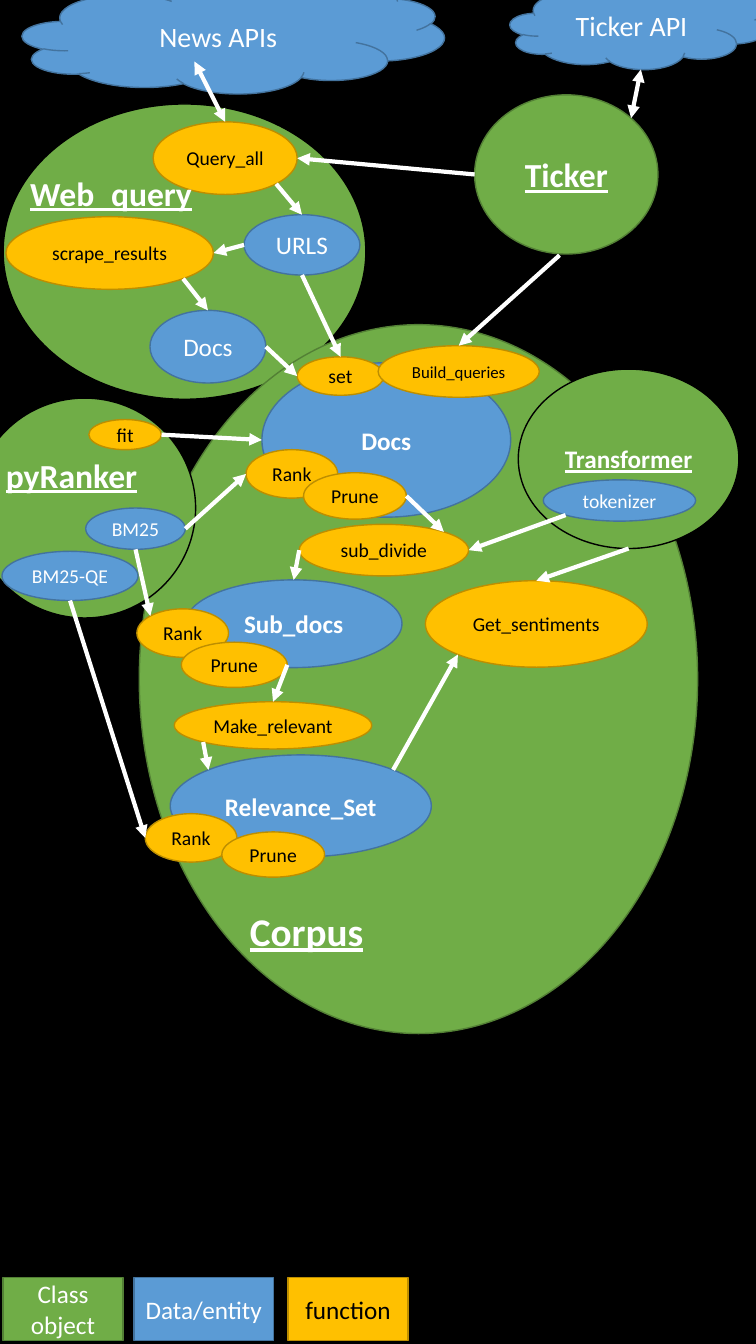
from math import sqrt

from lxml.etree import SubElement
from pptx import Presentation
from pptx.dml.color import RGBColor
from pptx.enum.shapes import MSO_CONNECTOR as CONN, MSO_SHAPE as SHAPE
from pptx.enum.text import PP_ALIGN as ALIGN
from pptx.oxml.ns import qn
from pptx.util import Cm, Pt

BLACK = RGBColor(0x00, 0x00, 0x00)
WHITE = RGBColor(0xFF, 0xFF, 0xFF)
GREEN = RGBColor(0x70, 0xAD, 0x47)
DARK_GREEN = RGBColor(0x53, 0x80, 0x35)
BLUE = RGBColor(0x5B, 0x9B, 0xD5)
DARK_BLUE = RGBColor(0x43, 0x73, 0x9E)
GOLD = RGBColor(0xFF, 0xC0, 0x00)
DARK_GOLD = RGBColor(0xBD, 0x8E, 0x00)

# Roles: fill, outline, text
CLASS = (GREEN, DARK_GREEN, WHITE)
CLASS_BLACK = (GREEN, BLACK, WHITE)
DATA = (BLUE, DARK_BLUE, WHITE)
FUNC = (GOLD, DARK_GOLD, BLACK)
BACKDROP = (BLACK, BLACK, WHITE)

# Connection sites of an ellipse: index and position as a share of its box
NEAR = (1 - sqrt(0.5)) / 2
FAR = 1 - NEAR
SITES = {
    "top": (0, 0.5, 0), "top left": (1, NEAR, NEAR),
    "left": (2, 0, 0.5), "bottom left": (3, NEAR, FAR),
    "bottom": (4, 0.5, 1), "bottom right": (5, FAR, FAR),
    "right": (6, 1, 0.5), "top right": (7, FAR, NEAR),
}


class Diagram:
    font = "Calibri"

    def __init__(self, slide):
        self.s = slide

    def label(self, tf, text, size, color, bold=False, underline=False):
        tf.word_wrap = True
        p = tf.paragraphs[0]
        p.text = text
        f = p.font
        f.name, f.size, f.bold, f.underline = self.font, Pt(size), bold, underline
        f.color.rgb = color
        return p

    def shape(self, preset, role, box, text="", size=14, bold=False, underline=False):
        fill, outline, color = role
        sp = self.s.shapes.add_shape(preset, *map(Cm, box))
        sp.shadow.inherit = False
        sp.fill.solid()
        sp.fill.fore_color.rgb = fill
        sp.line.color.rgb = outline
        sp.line.width = Pt(1)
        if text:
            p = self.label(sp.text_frame, text, size, color, bold, underline)
            p.alignment = ALIGN.CENTER
        return sp

    def node(self, role, box, text="", size=14, bold=False, underline=False):
        sp = self.shape(SHAPE.OVAL, role, box, text, size, bold, underline)
        sp.text_frame.margin_left = sp.text_frame.margin_right = 0
        return sp

    def title(self, box, text, size=24):
        tb = self.s.shapes.add_textbox(*map(Cm, box))
        self.label(tb.text_frame, text, size, WHITE, True, True)

    def arrow(self, start, end, both=False):
        """Each end is (ellipse, site name) or a free point in cm."""
        points, joins = [], []
        for tag, (a, b) in (("a:stCxn", start), ("a:endCxn", end)):
            if b in SITES:
                idx, fx, fy = SITES[b]
                points += [round(a.left + a.width * fx), round(a.top + a.height * fy)]
                joins.append((tag, a.shape_id, idx))
            else:
                points += [Cm(a), Cm(b)]
        c = self.s.shapes.add_connector(CONN.STRAIGHT, *points)
        c.line.color.rgb = WHITE
        c.line.width = Pt(3)
        for tag, shape_id, idx in joins:
            SubElement(c._element.nvCxnSpPr.cNvCxnSpPr, qn(tag),
                       id=str(shape_id), idx=str(idx))
        ln = c.line._get_or_add_ln()
        for tag in ("a:headEnd", "a:tailEnd") if both else ("a:tailEnd",):
            SubElement(ln, qn(tag), type="triangle")
        SubElement(c._element.spPr, qn("a:effectLst"))


def main():
    prs = Presentation()
    prs.slide_width, prs.slide_height = Cm(19.05), Cm(33.86)
    d = Diagram(prs.slides.add_slide(prs.slide_layouts[6]))
    d.shape(SHAPE.RECTANGLE, BACKDROP, (-0.1, 0, 19.13, 33.86))

    # Ticker and Web_query
    ticker = d.node(CLASS, (11.96, 2.39, 4.62, 4.01), "Ticker", 24, True, True)
    d.node(CLASS_BLACK, (0.08, 2.62, 9.14, 7.44))
    query_all = d.node(FUNC, (3.86, 3.07, 3.63, 1.83), "Query_all")
    urls = d.node(DATA, (6.15, 5.41, 2.92, 1.52), "URLS", 18)
    scrape = d.node(FUNC, (0.15, 5.46, 5.23, 1.83), "scrape_results")
    web_docs = d.node(DATA, (3.78, 7.82, 2.92, 1.83), "Docs", 18)
    d.title((0.51, 4.22, 4.67, 1.27), "Web_query")

    # Corpus and pyRanker outlines
    d.node(CLASS, (3.51, 8.18, 14.07, 17.86))
    d.title((6.05, 22.73, 4.67, 1.45), "Corpus", 28)
    d.node(CLASS_BLACK, (-0.66, 10.03, 5.59, 5.54))

    # Corpus content
    docs = d.node(DATA, (6.6, 9.14, 6.27, 3.89), "Docs", 18, True)
    set_docs = d.node(FUNC, (7.49, 8.99, 2.18, 0.97), "set")
    sub_divide = d.node(FUNC, (7.54, 13.21, 4.27, 1.3), "sub_divide")
    sub_docs = d.node(DATA, (4.67, 14.61, 5.46, 2.21), "Sub_docs", 18, True)
    relevance = d.node(DATA, (4.29, 19.02, 6.58, 2.57), "Relevance_Set", 18, True)
    sentiments = d.node(FUNC, (10.72, 14.63, 5.59, 2.18), "Get_sentiments")
    make_relevant = d.node(FUNC, (4.39, 17.68, 4.98, 1.19), "Make_relevant")
    build = d.node(FUNC, (9.53, 8.71, 4.06, 1.3), "Build_queries", 12)

    # Rank and Prune for each document set
    ranks, prunes = [], []
    for rank_at, prune_box in (
        ((6.2, 11.33), (7.65, 11.91, 2.59, 1.17)),
        ((3.45, 15.34), (4.57, 16.18, 2.67, 1.14)),
        ((3.66, 20.5), (5.59, 20.96, 2.59, 1.14)),
    ):
        ranks.append(d.node(FUNC, (*rank_at, 2.31, 1.22), "Rank"))
        prunes.append(d.node(FUNC, prune_box, "Prune"))

    # Transformer
    transformer = d.node(CLASS_BLACK, (13.06, 9.3, 5.56, 4.52),
                         "Transformer", 18, True, True)
    tokenizer = d.node(DATA, (13.69, 12.09, 3.84, 1.04), "tokenizer")

    # pyRanker content
    fit = d.node(FUNC, (2.24, 10.57, 1.83, 0.76), "fit")
    bm25 = d.node(DATA, (2.16, 12.8, 2.51, 1.04), "BM25")
    bm25_qe = d.node(DATA, (0.05, 13.89, 3.43, 1.24), "BM25-QE")
    d.title((-0.1, 11.33, 4.67, 1.27), "pyRanker")

    # External services
    d.shape(SHAPE.CLOUD, DATA, (0.56, -0.38, 10.64, 2.74), "News APIs", 20)
    d.shape(SHAPE.CLOUD, DATA, (12.85, -0.38, 6.6, 2.13), "Ticker API", 20)

    # Flow
    for start, end in (
        ((query_all, "bottom right"), (urls, "top")),
        ((urls, "left"), (scrape, "right")),
        ((ticker, "left"), (query_all, "right")),
        ((scrape, "bottom right"), (web_docs, "top")),
        ((fit, "right"), (docs, "left")),
        ((web_docs, "right"), (set_docs, "left")),
        ((urls, "bottom"), (set_docs, "top")),
        ((14.1, 6.43), (build, "top")),
        ((prunes[0], "right"), (sub_divide, "top right")),
        ((sub_divide, "left"), (sub_docs, "top")),
        ((prunes[1], "right"), (make_relevant, "top")),
        ((make_relevant, "bottom left"), (relevance, "top left")),
        ((relevance, "top right"), (sentiments, "bottom left")),
        ((tokenizer, "bottom left"), (sub_divide, "right")),
        ((transformer, "bottom"), (sentiments, "top")),
        ((bm25, "right"), (ranks[0], "left")),
        ((bm25, "bottom"), (ranks[1], "top left")),
        ((bm25_qe, "bottom"), (ranks[2], "left")),
    ):
        d.arrow(start, end)
    d.arrow((4.9, 1.55), (query_all, "top"), both=True)
    d.arrow((16.15, 1.75), (ticker, "top right"), both=True)

    # Legend
    for role, left, width, text in (
        (CLASS, 0.08, 3.02, "Class object"),
        (DATA, 3.38, 3.51, "Data/entity"),
        (FUNC, 7.26, 3.02, "function"),
    ):
        d.shape(SHAPE.RECTANGLE, role, (left, 32.18, width, 1.6), text, 18)

    prs.save("out.pptx")


if __name__ == "__main__":
    main()
